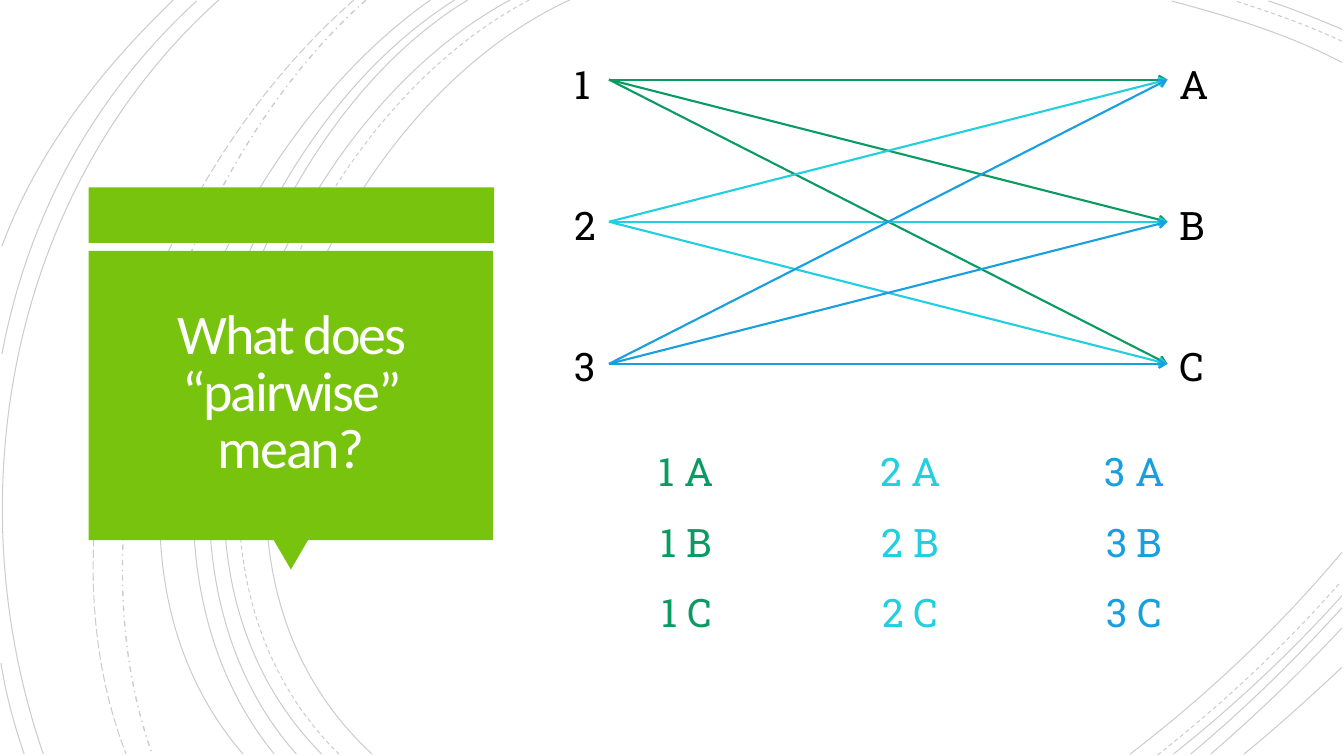
import dataclasses

import lxml.etree
import pptx
import pptx.dml.color
import pptx.enum.dml
import pptx.enum.shapes
import pptx.enum.text
import pptx.oxml.ns
import pptx.util

PX = 9144  # one px is a hundredth of an inch

SHAPE = pptx.enum.shapes.MSO_SHAPE
ALIGN = pptx.enum.text.PP_ALIGN
DASH = pptx.enum.dml.MSO_LINE


@dataclasses.dataclass(frozen=True)
class Theme:
    panel: str = "78C30D"
    title: str = "FFFEFF"
    ink: str = "000000"
    pairs: tuple = ("099B62", "21CFDF", "179FDF")
    title_font: str = "Calibri"
    body_font: str = "Roboto Slab"
    title_size: int = 40
    body_size: int = 28
    arc_width: float = 0.75
    arc_alpha: int = 20
    arrow_width: float = 1.5


THEME = Theme()

NUMBERS = ("1", "2", "3")
LETTERS = ("A", "B", "C")
ARROW_LEFT, ARROW_RIGHT = 604, 1158
ARROW_TOP, ARROW_PITCH = 79, 141

# Start, two control points and end of each background arc
SOLID_ARCS = (
    (565, 0, 315, 115, 143, 540, 369, 748),
    (1331, 62, 1278, 34, 1218, 16, 1162, 1),
    (1121, 748, 1197, 690, 1269, 622, 1331, 548),
    (506, 0, 270, 127, 110, 537, 319, 748),
    (1331, 29, 1307, 19, 1283, 9, 1258, 1),
    (1164, 748, 1223, 701, 1280, 648, 1331, 591),
    (464, 0, 244, 133, 110, 541, 294, 748),
    (1181, 748, 1234, 704, 1284, 655, 1331, 603),
    (451, 0, 231, 138, 97, 533, 272, 748),
    (1201, 748, 1246, 709, 1290, 667, 1331, 623),
    (427, 0, 217, 147, 53, 529, 241, 748),
    (1234, 748, 1267, 721, 1299, 692, 1331, 662),
    (217, 0, 11, 185, -46, 490, 43, 748),
    (195, 1, 92, 96, 28, 214, 2, 351),
    (1, 658, 6, 689, 14, 719, 24, 748),
    (172, 0, 100, 69, 37, 150, 2, 244),
)
DASHED_ARCS = (
    (525, 0, 285, 125, 123, 537, 336, 748),
    (1331, 41, 1297, 25, 1260, 12, 1225, 1),
    (1148, 749, 1213, 698, 1275, 640, 1330, 577),
)
DASH_DOT_ARCS = ((363, 0, 176, 166, 65, 509, 151, 748),)
LONG_DASH_ARCS = ((351, 0, 157, 169, 29, 499, 125, 748),)


def rgb(code):
    return pptx.dml.color.RGBColor.from_string(code)


def box_of(*lengths):
    return [pptx.util.Emu(length * PX) for length in lengths]


def add_xml(parent, tag, **attributes):
    return lxml.etree.SubElement(parent, pptx.oxml.ns.qn(tag), **attributes)


def style_runs(para, font, size, color):
    for span in para.runs:
        span.font.name = font
        span.font.size = pptx.util.Pt(size)
        span.font.color.rgb = rgb(color)


def add_arc(page, arc, dash, width=THEME.arc_width):
    points = list(zip(arc[::2], arc[1::2]))
    builder = page.shapes.build_freeform(*points[0], scale=PX)
    builder.add_line_segments(points[1:], close=False)
    outline = builder.convert_to_shape()
    # Join the three segments into one cubic curve
    segments = list(outline._element.iter(pptx.oxml.ns.qn("a:lnTo")))
    curve = add_xml(segments[0].getparent(), "a:cubicBezTo")
    for segment in segments:
        curve.append(segment[0])
        segment.getparent().remove(segment)
    outline.shadow.inherit = False
    outline.fill.background()
    outline.line.color.rgb = rgb(THEME.ink)
    outline.line.width = pptx.util.Pt(width)
    outline.line.dash_style = dash
    color = outline.line._ln.find(".//" + pptx.oxml.ns.qn("a:srgbClr"))
    add_xml(color, "a:alpha", val=str(THEME.arc_alpha * 1000))


def add_panel(page, kind, left, top, width, height, rotation=0):
    panel = page.shapes.add_shape(kind, *box_of(left, top, width, height))
    panel.rotation = rotation
    panel.shadow.inherit = False
    panel.fill.solid()
    panel.fill.fore_color.rgb = rgb(THEME.panel)
    panel.line.fill.background()


def set_title(page, text):
    title = page.shapes.title
    title.left, title.top, title.width, title.height = box_of(97, 256, 383, 270)
    frame = title.text_frame
    frame.text = text
    frame.word_wrap = True
    frame.auto_size = pptx.enum.text.MSO_AUTO_SIZE.NONE
    frame.vertical_anchor = pptx.enum.text.MSO_ANCHOR.MIDDLE
    para = frame.paragraphs[0]
    para.alignment = ALIGN.CENTER
    para.line_spacing = 0.85
    style_runs(para, THEME.title_font, THEME.title_size, THEME.title)
    for span in para.runs:
        span.font._element.set("spc", "-150")
    # Bring the title in front of its panel
    page.shapes._spTree.append(title._element)


def add_lines(page, top, lines, colors, align, gap):
    box = page.shapes.add_textbox(*box_of(560, top, 686, 261))
    frame = box.text_frame
    frame.text = "\n".join(lines)
    frame.word_wrap = True
    frame.vertical_anchor = pptx.enum.text.MSO_ANCHOR.MIDDLE
    for index, (para, color) in enumerate(zip(frame.paragraphs, colors)):
        para.alignment = align
        para.line_spacing = 1.2
        para.space_before = pptx.util.Pt(gap if index else 10)
        style_runs(para, THEME.body_font, THEME.body_size, color)
    return frame


def add_labels(page):
    lines = [f"{number}\t{letter}" for number, letter in zip(NUMBERS, LETTERS)]
    colors = [THEME.ink] * len(lines)
    frame = add_lines(page, 88, lines, colors, ALIGN.LEFT, gap=60.5)
    for para in frame.paragraphs:
        stops = add_xml(para._p.get_or_add_pPr(), "a:tabLst")
        add_xml(stops, "a:tab", pos=str(600 * PX), algn="l")


def add_pairs(page):
    lines = [f"{number} {letter}" for number in NUMBERS for letter in LETTERS]
    colors = [color for color in THEME.pairs for _ in LETTERS]
    frame = add_lines(page, 402, lines, colors, ALIGN.CENTER, gap=10)
    frame._txBody.bodyPr.set("numCol", str(len(NUMBERS)))


def add_arrow(page, start_row, end_row, color):
    start_y, end_y = (ARROW_TOP + row * ARROW_PITCH for row in (start_row, end_row))
    arrow = page.shapes.add_connector(
        pptx.enum.shapes.MSO_CONNECTOR.STRAIGHT,
        *box_of(ARROW_LEFT, start_y, ARROW_RIGHT, end_y),
    )
    arrow.line.color.rgb = rgb(color)
    arrow.line.width = pptx.util.Pt(THEME.arrow_width)
    add_xml(arrow.line._ln, "a:tailEnd", type="arrow")
    add_xml(arrow._element.spPr, "a:effectLst")


def main():
    deck = pptx.Presentation()
    deck.slide_width, deck.slide_height = box_of(1333, 750)
    page = deck.slides.add_slide(deck.slide_layouts[5])

    # Background arcs
    for arcs, dash in (
        (SOLID_ARCS, DASH.SOLID),
        (DASHED_ARCS, DASH.DASH),
        (LONG_DASH_ARCS, DASH.LONG_DASH),
    ):
        for arc in arcs:
            add_arc(page, arc, dash)
    for arc in DASH_DOT_ARCS:
        add_arc(page, arc, DASH.DASH_DOT, width=1)

    # Title panel
    add_panel(page, SHAPE.RECTANGLE, 88, 186, 402, 55)
    add_panel(page, SHAPE.ISOSCELES_TRIANGLE, 271, 535, 35, 30, rotation=180)
    add_panel(page, SHAPE.RECTANGLE, 88, 249, 401, 287)
    set_title(page, "What does “pairwise” mean?")

    # Labels, pairs and one fan of arrows per number
    add_labels(page)
    add_pairs(page)
    for start_row, color in enumerate(THEME.pairs):
        for end_row in range(len(LETTERS)):
            add_arrow(page, start_row, end_row, color)

    deck.save("out.pptx")


if __name__ == "__main__":
    main()
